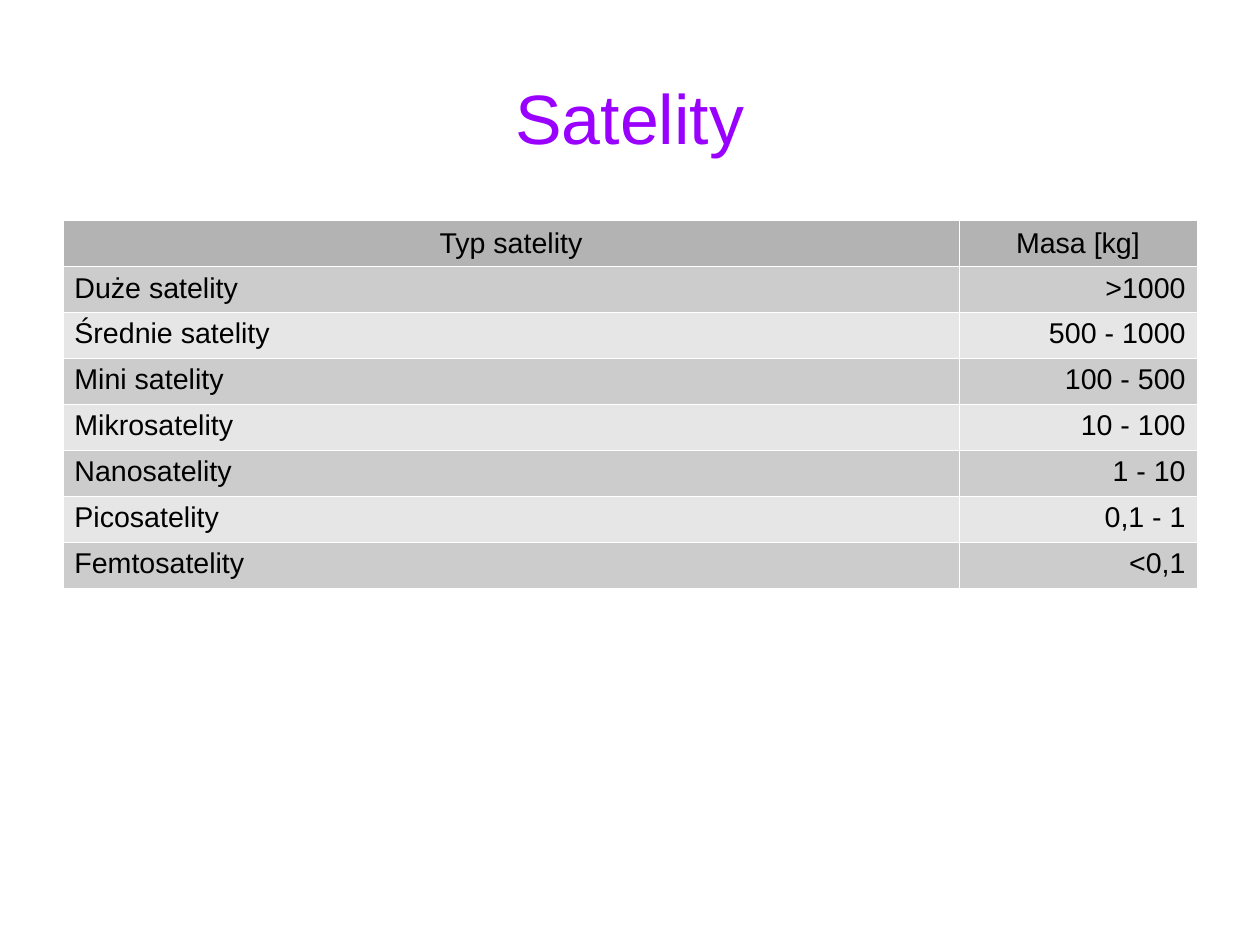
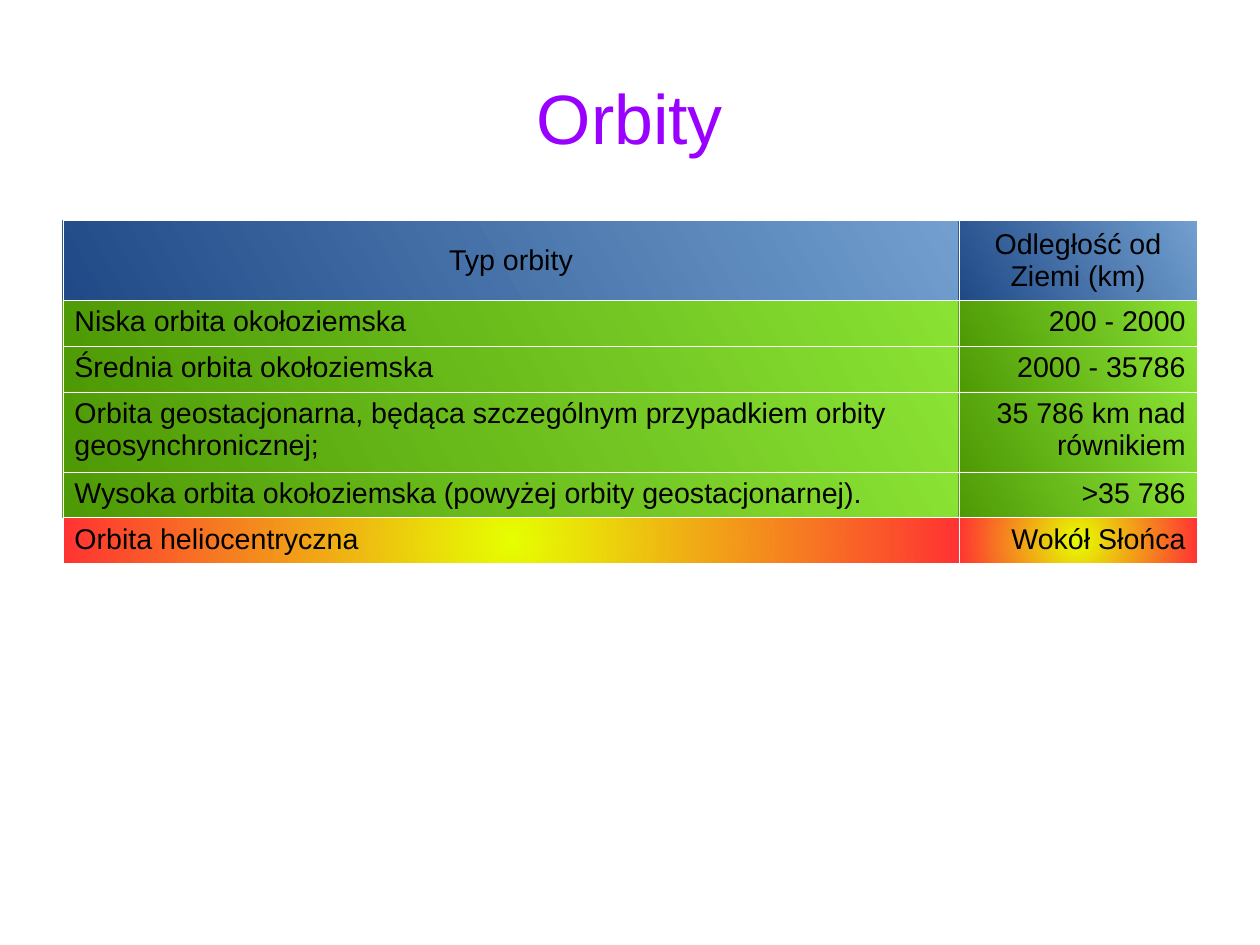
"""Build two slides with tables of satellite types and orbit types."""
from dataclasses import dataclass
from typing import Any

from lxml.etree import SubElement
from pptx import Presentation
from pptx.dml.color import RGBColor
from pptx.enum.text import MSO_ANCHOR, MSO_AUTO_SIZE, PP_ALIGN
from pptx.oxml import parse_xml
from pptx.oxml.ns import nsdecls, qn
from pptx.util import Cm, Pt

BLACK = RGBColor(0x00, 0x00, 0x00)
PURPLE = RGBColor(0x99, 0x00, 0xFF)
HEADER_GRAY = RGBColor(0xB3, 0xB3, 0xB3)
DARK_GRAY = RGBColor(0xCC, 0xCC, 0xCC)
LIGHT_GRAY = RGBColor(0xE6, 0xE6, 0xE6)
LIGHT_BLUE = RGBColor(0x72, 0x9F, 0xCF)
DARK_BLUE = RGBColor(0x20, 0x4A, 0x87)
LIGHT_GREEN = RGBColor(0x8A, 0xE2, 0x34)
DARK_GREEN = RGBColor(0x4E, 0x9A, 0x06)
YELLOW = RGBColor(0xE6, 0xFF, 0x00)
RED = RGBColor(0xFF, 0x33, 0x33)
WHITE = RGBColor(0xFF, 0xFF, 0xFF)

MARGIN = Cm(1.4)
COLUMN_WIDTHS = (Cm(19.91), Cm(5.29))
TABLE_TOP = Cm(4.9)
SINGLE_ROW = Cm(1.02)
DOUBLE_ROW = Cm(1.77)
BORDER_WIDTH = Pt(0.06)
GRADIENT_ANGLE = 210

TITLE_BOX = {"left": MARGIN, "top": Cm(0.84), "width": sum(COLUMN_WIDTHS), "height": Cm(3.5)}
TITLE_FRAME = {
    "margin_left": 0, "margin_top": 0, "margin_right": 0, "margin_bottom": 0,
    "vertical_anchor": MSO_ANCHOR.MIDDLE, "auto_size": MSO_AUTO_SIZE.NONE, "word_wrap": True,
}
TITLE_FONT = {"name": "Arial", "size": Pt(44), "bold": False}
CELL_FONT = {"name": "Arial", "size": Pt(18), "bold": False}


@dataclass(frozen=True)
class Paint:
    """Colours of a cell: one is solid, two make a gradient."""
    colors: tuple[RGBColor, ...]
    radial: bool = False


@dataclass(frozen=True)
class Row:
    """One table row with its fill and height."""
    label: str
    value: str
    paint: Paint
    height: int = SINGLE_ROW


@dataclass(frozen=True)
class TableSlide:
    """A title above a table whose first row is the header."""
    title: str
    rows: tuple[Row, ...]


HEADER = Paint((HEADER_GRAY,))
DARK = Paint((DARK_GRAY,))
LIGHT = Paint((LIGHT_GRAY,))
BLUE = Paint((LIGHT_BLUE, DARK_BLUE))
GREEN = Paint((LIGHT_GREEN, DARK_GREEN))
SUN = Paint((YELLOW, RED), radial=True)

SATELLITES = (
    ("Duże satelity", ">1000"),
    ("Średnie satelity", "500 - 1000"),
    ("Mini satelity", "100 - 500"),
    ("Mikrosatelity", "10 - 100"),
    ("Nanosatelity", "1 - 10"),
    ("Picosatelity", "0,1 - 1"),
    ("Femtosatelity", "<0,1"),
)

SLIDES = (
    TableSlide("Satelity", (
        Row("Typ satelity", "Masa [kg]", HEADER),
        *(Row(label, mass, LIGHT if index % 2 else DARK)
          for index, (label, mass) in enumerate(SATELLITES)),
    )),
    TableSlide("Orbity", (
        Row("Typ orbity", "Odległość od Ziemi (km)", BLUE, DOUBLE_ROW),
        Row("Niska orbita okołoziemska", "200 - 2000", GREEN),
        Row("Średnia orbita okołoziemska", "2000 - 35786", GREEN),
        Row("Orbita geostacjonarna, będąca szczególnym przypadkiem orbity geosynchronicznej;",
            "35 786 km nad równikiem", GREEN, DOUBLE_ROW),
        Row("Wysoka orbita okołoziemska (powyżej orbity geostacjonarnej).", ">35 786", GREEN),
        Row("Orbita heliocentryczna", "Wokół Słońca", SUN),
    )),
)


def apply_format(target: Any, values: dict[str, Any]) -> None:
    """Set every attribute named in the format values."""
    for name, value in values.items():
        setattr(target, name, value)


def write_text(frame: Any, text: str, font: dict[str, Any], color: RGBColor,
               alignment: PP_ALIGN) -> None:
    """Fill a text frame with one formatted paragraph."""
    paragraph = frame.paragraphs[0]
    paragraph.alignment = alignment
    run = paragraph.add_run()
    run.text = text
    apply_format(run.font, font)
    run.font.color.rgb = color


def draw_borders(cell: Any) -> None:
    """Give a cell thin white borders on all sides."""
    properties = cell._tc.get_or_add_tcPr()
    for side in ("a:lnL", "a:lnR", "a:lnT", "a:lnB"):
        line = SubElement(properties, qn(side), w=str(int(BORDER_WIDTH)))
        fill = SubElement(line, qn("a:solidFill"))
        SubElement(fill, qn("a:srgbClr"), val=str(WHITE))


def paint_cell(cell: Any, paint: Paint) -> None:
    """Fill a cell with a solid colour or a gradient."""
    if len(paint.colors) == 1:
        cell.fill.solid()
        cell.fill.fore_color.rgb = paint.colors[0]
        return
    fill = cell.fill
    fill.gradient()
    fill.gradient_angle = GRADIENT_ANGLE
    for stop, color in zip(fill.gradient_stops, paint.colors):
        stop.color.rgb = color
    if paint.radial:
        linear = cell._tc.tcPr.find(".//" + qn("a:lin"))
        circle = parse_xml(
            f'<a:path {nsdecls("a")} path="circle">'
            '<a:fillToRect l="50000" t="50000" r="50000" b="50000"/></a:path>')
        linear.getparent().replace(linear, circle)


def draw_title(slide: Any, text: str) -> None:
    """Place and format the slide title."""
    title = slide.shapes.title
    apply_format(title, TITLE_BOX)
    apply_format(title.text_frame, TITLE_FRAME)
    write_text(title.text_frame, text, TITLE_FONT, PURPLE, PP_ALIGN.CENTER)


def draw_table(slide: Any, rows: tuple[Row, ...]) -> None:
    """Draw the table with a centred header row."""
    table = slide.shapes.add_table(
        len(rows), len(COLUMN_WIDTHS), MARGIN, TABLE_TOP,
        sum(COLUMN_WIDTHS), sum(row.height for row in rows)).table
    table.horz_banding = False
    for column, width in zip(table.columns, COLUMN_WIDTHS):
        column.width = width
    for index, row in enumerate(rows):
        table.rows[index].height = row.height
        alignments = (PP_ALIGN.LEFT, PP_ALIGN.RIGHT) if index else (PP_ALIGN.CENTER,) * 2
        for cell, text, alignment in zip(
                table.rows[index].cells, (row.label, row.value), alignments):
            cell.vertical_anchor = MSO_ANCHOR.TOP if index else MSO_ANCHOR.MIDDLE
            draw_borders(cell)
            paint_cell(cell, row.paint)
            write_text(cell.text_frame, text, CELL_FONT, BLACK, alignment)


def main() -> None:
    """Build and save the presentation."""
    presentation = Presentation()
    presentation.slide_width = Cm(28)
    presentation.slide_height = Cm(21)
    for content in SLIDES:
        slide = presentation.slides.add_slide(presentation.slide_layouts[5])
        draw_title(slide, content.title)
        draw_table(slide, content.rows)
    presentation.save("out.pptx")


if __name__ == "__main__":
    main()
